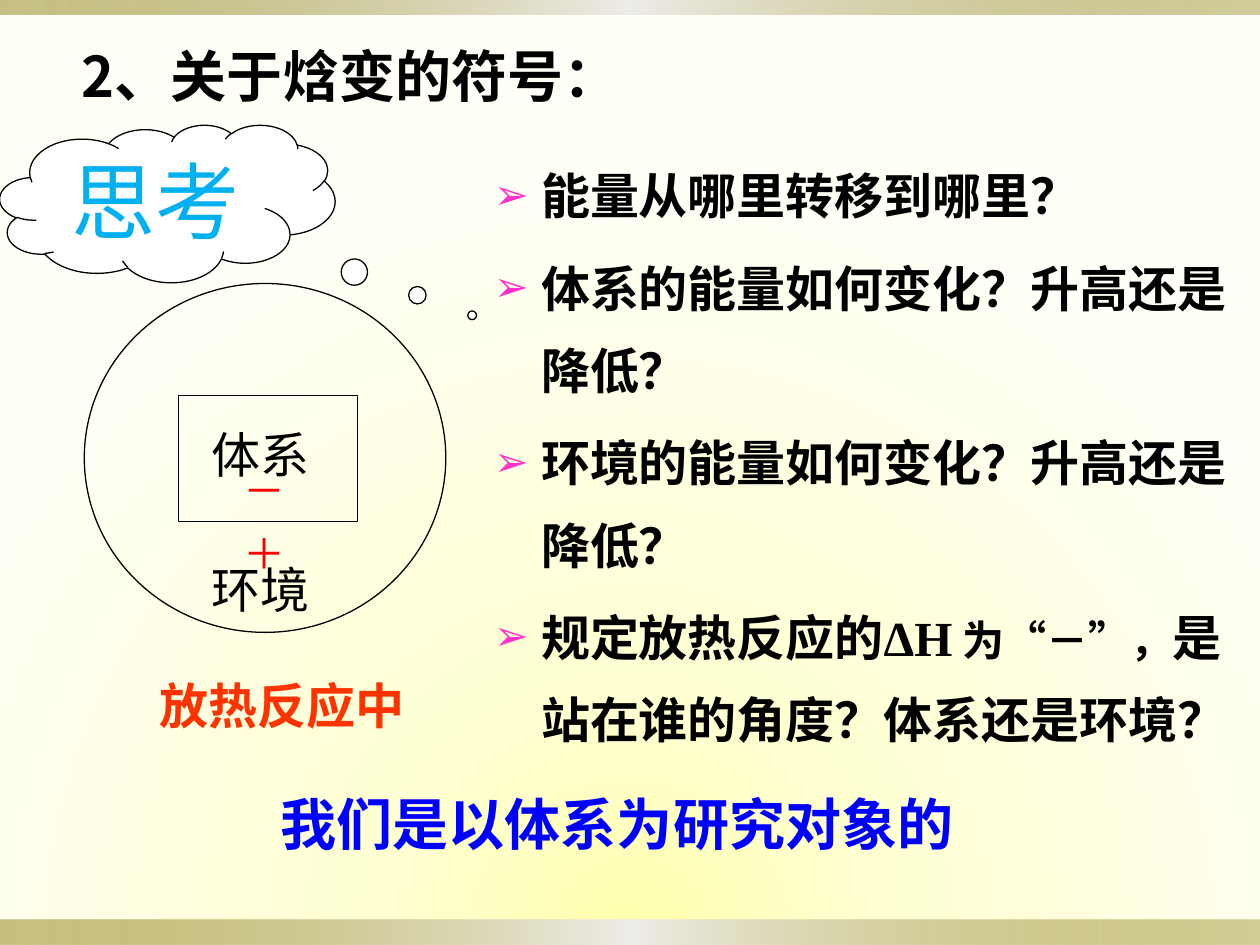
"""Build the slide on the sign of the enthalpy change."""
from lxml.etree import SubElement
from pptx import Presentation
from pptx.dml.color import RGBColor
from pptx.enum.shapes import MSO_SHAPE as Preset
from pptx.enum.text import MSO_ANCHOR as Anchor, MSO_AUTO_SIZE as AutoSize, PP_ALIGN as Align
from pptx.oxml.ns import qn
from pptx.util import Pt

BLACK = RGBColor(0x00, 0x00, 0x00)
WHITE = RGBColor(0xFF, 0xFF, 0xFF)
SKY = RGBColor(0x00, 0xB0, 0xF0)
BLUE = RGBColor(0x00, 0x00, 0xFF)
RED = RGBColor(0xFF, 0x00, 0x00)
ORANGE = RGBColor(0xFF, 0x33, 0x00)
PINK = RGBColor(0xFF, 0x33, 0xCC)
OLIVE = RGBColor(0x91, 0x84, 0x15)
SILVER = RGBColor(0xEE, 0xED, 0xE8)

HAN, LATIN, SERIF = "Noto Sans CJK SC", "Karla", "Times New Roman"

GLOW = [(0, RGBColor(0xFF, 0xFF, 0xAC), 100), (31, RGBColor(0xFF, 0xFF, 0xD2), 100),
        (100, RGBColor(0xFF, 0xFF, 0xF7), 100)]
GLOW_CENTRE = {"l": 50, "t": 150, "r": 50, "b": 0}
BAND = [(0, OLIVE, 50), (50, SILVER, 100), (100, OLIVE, 40)]
BAND_BOXES = [(0, 525.6, 720, 14.4), (0, 0, 720, 8.6)]

HEADING = {"name": HAN, "size": Pt(32), "bold": True}
STRONG = {"name": LATIN, "size": Pt(28), "bold": True}
PLAIN = {"name": LATIN, "size": Pt(28), "bold": False}
SIGN = {"name": LATIN, "size": Pt(24), "bold": False}
THOUGHT = {"name": LATIN, "size": Pt(48), "bold": False}
SERIF_STRONG = {**STRONG, "name": SERIF}
SERIF_SMALL = {**SERIF_STRONG, "size": Pt(24)}

TITLE = ("2、关于焓变的符号：", (39.6, 20.2, 322.6, 46.1))
QUESTIONS_BOX = (275, 77.8, 445, 365.8)
QUESTIONS = [
    [("能量从哪里转移到哪里？", STRONG)],
    [("体系的能量如何变化？升高还是降低？", STRONG)],
    [("环境的能量如何变化？升高还是降低？", STRONG)],
    [("规定放热反应的", STRONG), ("ΔH", SERIF_STRONG), (" 为“－”，", SERIF_SMALL),
     ("是站在谁的角度", SERIF_STRONG), ("？体系还是环境？", STRONG)],
]
CLOUD = ("思考", (0, 71.3, 191.5, 90), (0.909, 0.71))
SYSTEM_BOX = (102.2, 226.1, 102.2, 72)
SYSTEM = ("体系", (113.8, 239, 84.2, 41), PLAIN, BLACK, True)
SURROUNDINGS_BOX = (48.2, 162, 206.6, 199.4)
LABELS = [
    ("放热反应中", (84.2, 382.3, 154.8, 41), STRONG, ORANGE, False),
    ("环境", (113.8, 316.1, 77.8, 41), PLAIN, BLACK, True),
    ("＋", (131.8, 298.1, 54, 36), SIGN, RED, True),
    ("－", (131.8, 262.1, 54, 36), SIGN, RED, True),
    ("我们是以体系为研究对象的", (153.4, 447.8, 403.9, 46.1), HEADING, BLUE, False),
]


def points(box):
    return [Pt(length) for length in box]


def paint_gradient(fill, owner, stops, centre=None):
    fill.solid()
    solid = owner.find(".//" + qn("a:solidFill"))
    gradient = solid.makeelement(qn("a:gradFill"), {"rotWithShape": "1"})
    stop_list = SubElement(gradient, qn("a:gsLst"))
    for position, colour, opacity in stops:
        stop = SubElement(stop_list, qn("a:gs"), pos=str(position * 1000))
        tint = SubElement(stop, qn("a:srgbClr"), val=str(colour))
        SubElement(tint, qn("a:alpha"), val=str(opacity * 1000))
    if centre:
        circle = SubElement(gradient, qn("a:path"), attrib={"path": "circle"})
        edges = {side: str(share * 1000) for side, share in centre.items()}
        SubElement(circle, qn("a:fillToRect"), attrib=edges)
    else:
        SubElement(gradient, qn("a:lin"), ang="0", scaled="1")
    solid.getparent().replace(solid, gradient)


def write(paragraph, wording, style, colour):
    run = paragraph.add_run()
    run.text = wording
    for attribute, value in style.items():
        setattr(run.font, attribute, value)
    run.font.color.rgb = colour
    SubElement(run.font._element, qn("a:ea"), typeface=HAN)


def place(placeholder, box):
    for side, length in zip(("left", "top", "width", "height"), points(box)):
        setattr(placeholder, side, length)
    placeholder.text_frame.auto_size = AutoSize.NONE
    placeholder.text_frame.vertical_anchor = Anchor.TOP


def add_outline(shapes, preset, box, fill=None):
    outline = shapes.add_shape(preset, *points(box))
    outline.shadow.inherit = False
    if fill is None:
        outline.fill.background()
    else:
        outline.fill.solid()
        outline.fill.fore_color.rgb = fill
    outline.line.color.rgb = BLACK
    outline.line.width = Pt(0.75)
    return outline


def add_label(shapes, wording, box, style, colour, wrap):
    frame = shapes.add_textbox(*points(box)).text_frame
    frame.word_wrap = wrap
    write(frame.paragraphs[0], wording, style, colour)


def add_arrow_bullet(paragraph):
    properties = paragraph._p.get_or_add_pPr()
    properties.set("marL", str(Pt(27)))
    properties.set("indent", str(-Pt(27)))
    tint = SubElement(properties, qn("a:buClr"))
    SubElement(tint, qn("a:srgbClr"), val=str(PINK))
    SubElement(properties, qn("a:buSzPct"), val="85000")
    SubElement(properties, qn("a:buChar"), char="➢")


def main():
    deck = Presentation()
    deck.slide_width, deck.slide_height = Pt(720), Pt(540)
    slide = deck.slides.add_slide(deck.slide_layouts[1])
    shapes = slide.shapes
    paint_gradient(slide.background.fill, slide.element, GLOW, GLOW_CENTRE)

    for box in BAND_BOXES:
        band = shapes.add_shape(Preset.RECTANGLE, *points(box))
        band.shadow.inherit = False
        paint_gradient(band.fill, band.element, BAND)
        band.line.fill.background()

    heading, title_box = TITLE
    place(shapes.title, title_box)
    shapes.title.text_frame.word_wrap = False
    heading_line = shapes.title.text_frame.paragraphs[0]
    heading_line.alignment = Align.LEFT
    write(heading_line, heading, HEADING, BLACK)

    questions = slide.placeholders[1]
    place(questions, QUESTIONS_BOX)
    for number, pieces in enumerate(QUESTIONS):
        frame = questions.text_frame
        question = frame.add_paragraph() if number else frame.paragraphs[0]
        add_arrow_bullet(question)
        question.line_spacing = 1.4
        question.space_before = Pt(5.6 if number else 0)
        for wording, style in pieces:
            write(question, wording, style, BLACK)

    thought, cloud_box, tail = CLOUD
    cloud = add_outline(shapes, Preset.CLOUD_CALLOUT, cloud_box, WHITE)
    for number, offset in enumerate(tail):
        cloud.adjustments[number] = offset
    cloud_line = cloud.text_frame.paragraphs[0]
    cloud_line.alignment = Align.CENTER
    write(cloud_line, thought, THOUGHT, SKY)

    system = shapes.add_group_shape()
    add_outline(system.shapes, Preset.RECTANGLE, SYSTEM_BOX)
    add_label(system.shapes, *SYSTEM)
    add_outline(shapes, Preset.OVAL, SURROUNDINGS_BOX)
    for label in LABELS:
        add_label(shapes, *label)

    deck.save("out.pptx")


if __name__ == "__main__":
    main()
